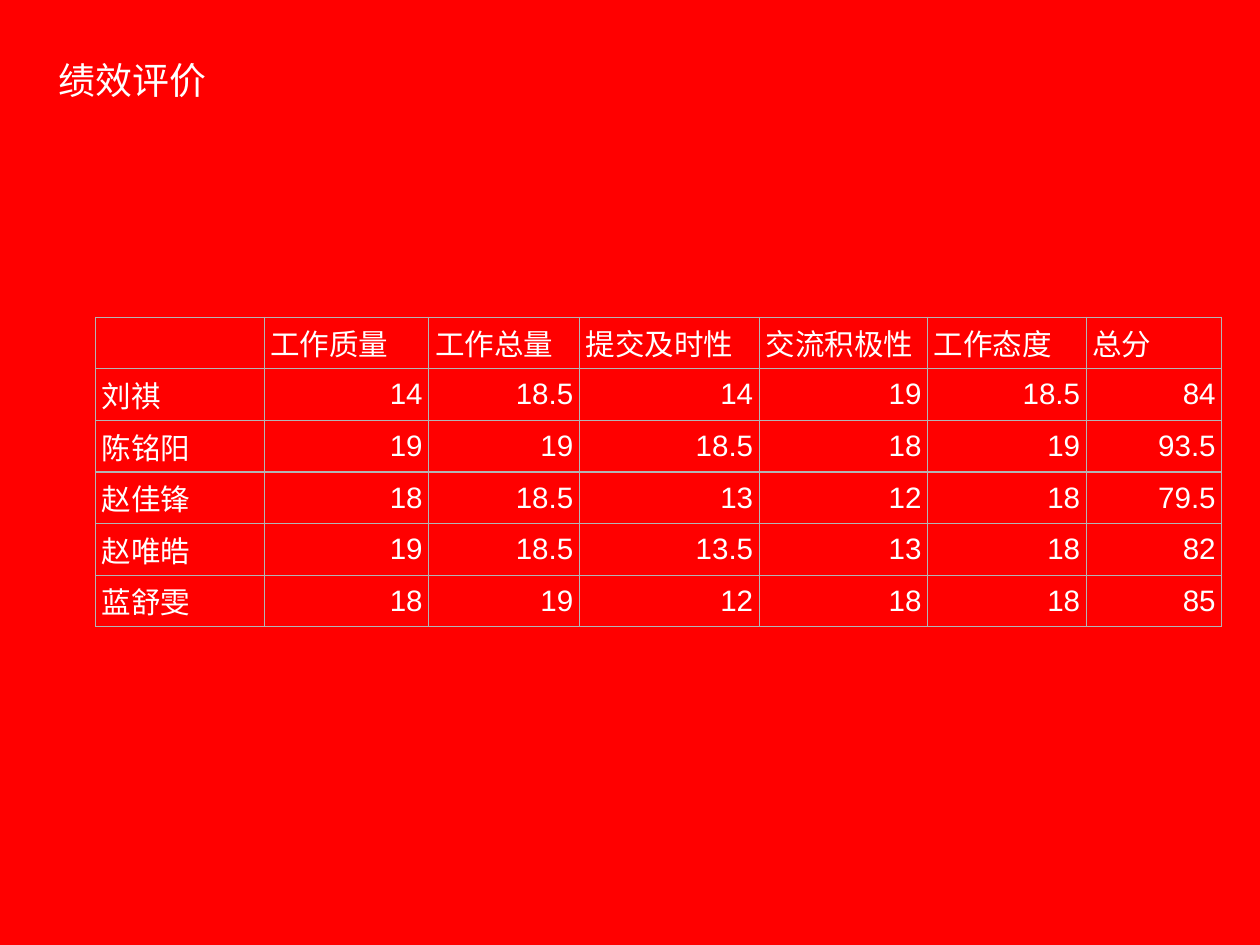
from dataclasses import dataclass

from lxml.etree import SubElement
from pptx import Presentation
from pptx.dml.color import RGBColor
from pptx.enum.text import MSO_ANCHOR, MSO_AUTO_SIZE, PP_ALIGN
from pptx.oxml.ns import qn
from pptx.util import Inches, Pt

LATIN_FONT = "Arial"
CJK_FONT = "Noto Sans CJK SC"
BACKGROUND = "FF0000"
TEXT = "FFFFFF"
BORDER = "B4B4B4"

HEADERS = ["", "工作质量", "工作总量", "提交及时性", "交流积极性", "工作态度", "总分"]
COL_WIDTHS = [1.9, 1.86, 1.7, 2.03, 1.9, 1.79, 1.53]
ROW_HEIGHT = 3.5 / 6


@dataclass
class Review:
    name: str
    scores: list[float]
    total: float

    def texts(self) -> list[str]:
        return [self.name] + [f"{value:g}" for value in [*self.scores, self.total]]


REVIEWS = [
    Review("刘祺", [14, 18.5, 14, 19, 18.5], 84),
    Review("陈铭阳", [19, 19, 18.5, 18, 19], 93.5),
    Review("赵佳锋", [18, 18.5, 13, 12, 18], 79.5),
    Review("赵唯皓", [19, 18.5, 13.5, 13, 18], 82),
    Review("蓝舒雯", [18, 19, 12, 18, 18], 85),
]


def rgb(value: str) -> RGBColor:
    return RGBColor.from_string(value)


def format_runs(p, size: float, font: str) -> None:
    for r in p.runs:
        r.font.size = Pt(size)
        r.font.name = font
        r.font.color.rgb = rgb(TEXT)
        SubElement(r.font._element, qn("a:ea"), typeface=CJK_FONT)


def set_borders(cell) -> None:
    tc_pr = cell._tc.get_or_add_tcPr()
    for side in ("lnL", "lnR", "lnT", "lnB"):
        ln = SubElement(tc_pr, qn(f"a:{side}"), w=str(Pt(1)))
        fill = SubElement(ln, qn("a:solidFill"))
        SubElement(fill, qn("a:srgbClr"), val=BORDER)


def add_title(slide, text: str) -> None:
    sp = slide.shapes.add_textbox(Inches(0.6), Inches(0.55), Inches(1.79), Inches(0.69))
    tf = sp.text_frame
    tf.text = text
    tf.word_wrap = False
    tf.auto_size = MSO_AUTO_SIZE.SHAPE_TO_FIT_TEXT
    tf.vertical_anchor = MSO_ANCHOR.MIDDLE
    tf.margin_left = tf.margin_right = tf.margin_top = tf.margin_bottom = Inches(0.06)
    format_runs(tf.paragraphs[0], 30, CJK_FONT)


def fill_cell(cell, text: str, align: PP_ALIGN) -> None:
    cell.margin_left = cell.margin_right = Inches(0.07)
    cell.margin_top = cell.margin_bottom = 0
    cell.vertical_anchor = MSO_ANCHOR.MIDDLE
    set_borders(cell)
    cell.fill.background()
    p = cell.text_frame.paragraphs[0]
    p.text = text
    p.alignment = align
    format_runs(p, 24, LATIN_FONT)


def add_score_table(slide, rows: list[list[str]]) -> None:
    table = slide.shapes.add_table(
        len(rows), len(COL_WIDTHS), Inches(1.08), Inches(3.58),
        Inches(sum(COL_WIDTHS)), Inches(ROW_HEIGHT * len(rows))).table
    table.first_row = table.horz_banding = False
    for column, width in zip(table.columns, COL_WIDTHS):
        column.width = Inches(width)
    for i, texts in enumerate(rows):
        table.rows[i].height = Inches(ROW_HEIGHT)
        for j, text in enumerate(texts):
            is_score = i > 0 and j > 0
            fill_cell(table.cell(i, j), text, PP_ALIGN.RIGHT if is_score else PP_ALIGN.LEFT)


def main() -> None:
    prs = Presentation()
    prs.slide_width, prs.slide_height = Inches(14.22), Inches(10.67)
    slide = prs.slides.add_slide(prs.slide_layouts[6])

    # Background
    fill = slide.background.fill
    fill.solid()
    fill.fore_color.rgb = rgb(BACKGROUND)

    # Title and scores
    add_title(slide, "绩效评价")
    add_score_table(slide, [HEADERS] + [review.texts() for review in REVIEWS])

    prs.save("out.pptx")


if __name__ == "__main__":
    main()
